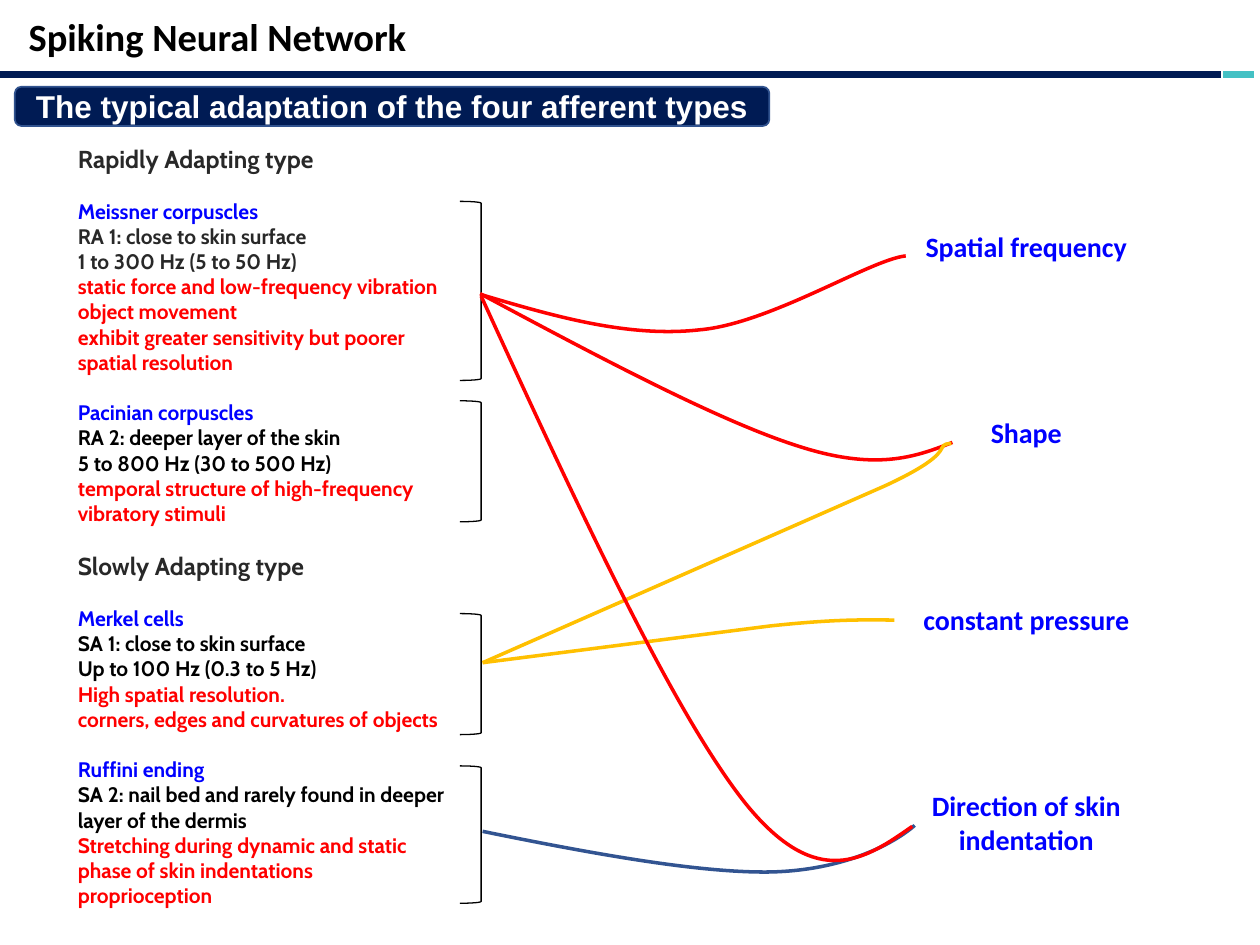
from lxml import etree
from pptx import Presentation
from pptx.dml.color import RGBColor
from pptx.enum.shapes import MSO_CONNECTOR, MSO_SHAPE
from pptx.enum.text import MSO_ANCHOR, MSO_AUTO_SIZE, PP_ALIGN
from pptx.oxml.ns import qn
from pptx.util import Cm, Pt

LEFT, CENTER = PP_ALIGN.LEFT, PP_ALIGN.CENTER
MIDDLE = MSO_ANCHOR.MIDDLE
GROW = MSO_AUTO_SIZE.SHAPE_TO_FIT_TEXT
STRAIGHT = MSO_CONNECTOR.STRAIGHT
ROUNDED, BRACKET = MSO_SHAPE.ROUNDED_RECTANGLE, MSO_SHAPE.RIGHT_BRACKET

NAVY, TEAL, BLACK, GRAY, WHITE = "001B54", "44C1C4", "000000", "282828", "FFFFFF"
BLUE, RED, GOLD, STEEL = "0000FF", "FF0000", "FFC000", "325491"

# Content
TITLE = "Spiking Neural Network"
BANNER = "The typical adaptation of the four afferent types"
LABELS = ["Spatial frequency", "Shape", "constant pressure",
          "Direction of skin indentation"]

# Adaptation type, then its receptors: name, colour of facts, facts, findings
TYPES = [
    ("Rapidly Adapting type", [
        ("Meissner corpuscles", GRAY,
         ["RA 1: close to skin surface", "1 to 300 Hz (5 to 50 Hz)"],
         ["static force and low-frequency vibration", "object movement",
          "exhibit greater sensitivity but poorer spatial resolution"]),
        ("Pacinian corpuscles", BLACK,
         ["RA 2: deeper layer of the skin", "5 to 800 Hz (30 to 500 Hz)"],
         ["temporal structure of high-frequency vibratory stimuli"]),
    ]),
    ("Slowly Adapting type", [
        ("Merkel cells", BLACK,
         ["SA 1: close to skin surface", "Up to 100 Hz (0.3 to 5 Hz)"],
         ["High spatial resolution.", "corners, edges and curvatures of objects"]),
        ("Ruffini ending", BLACK,
         ["SA 2: nail bed and rarely found in deeper layer of the dermis"],
         ["Stretching during dynamic and static phase of skin indentations",
          "proprioception"]),
    ]),
]

# Geometry in centimetres
RULES = [(0, 24.61, NAVY), (24.66, 25.27, TEAL)]
BRACKETS = [(4.06, 3.61), (8.08, 2.44), (12.37, 2.44), (15.44, 2.77)]  # top, height
LABEL_TOP, LABEL_STEP = 4.5, 3.76

# Start point, then two control points and an end point for each cubic segment
CURVES = [
    (RED, [(9.7, 5.94), (11.18, 6.38), (12.67, 6.81), (14.1, 6.65),
           (15.52, 6.53), (17.55, 5.23), (18.26, 5.16)]),
    (RED, [(9.68, 5.92), (12.09, 7.21), (14.48, 8.48), (16.08, 8.99),
           (17.65, 9.5), (18.44, 9.22), (19.2, 8.92)]),
    (STEEL, [(9.73, 16.76), (11.89, 17.2), (14.07, 17.6), (15.52, 17.58),
             (16.97, 17.55), (17.98, 17.04), (18.44, 16.64)]),
    (GOLD, [(9.73, 13.36), (9.73, 13.36), (15.52, 12.62), (15.52, 12.62),
            (16.92, 12.47), (17.48, 12.5), (18.03, 12.5)]),
    (GOLD, [(9.73, 13.36), (9.73, 13.36), (17.83, 9.8), (17.83, 9.8),
            (19.41, 9.07), (18.77, 8.97), (19.18, 8.94)]),
    (RED, [(9.7, 5.97), (11.63, 10.19), (13.59, 14.4), (15.04, 16.21),
           (16.48, 17.98), (17.45, 17.32), (18.39, 16.66)]),
]


def color(value):
    return RGBColor.from_string(value)


def set_line(shape, value, width):
    shape.line.color.rgb = color(value)
    shape.line.width = Pt(width)


def write(para, text, value, size, name, align=LEFT, before=0):
    para.alignment = align
    para.space_before = Pt(before)
    span = para.add_run()
    span.text = text
    span.font.color.rgb = color(value)
    for key, setting in {"size": Pt(size), "name": name, "bold": True}.items():
        setattr(span.font, key, setting)


def add_box(left, top, width, height):
    frame = page.shapes.add_textbox(Cm(left), Cm(top), Cm(width), Cm(height)).text_frame
    frame.word_wrap = True
    frame.auto_size = GROW
    return frame


def add_shape(kind, left, top, width, height):
    shape = page.shapes.add_shape(kind, Cm(left), Cm(top), Cm(width), Cm(height))
    shape.shadow.inherit = False
    return shape


def add_curve(points, value):
    start, *rest = [(Cm(x), Cm(y)) for x, y in points]
    builder = page.shapes.build_freeform(*start)
    builder.add_line_segments(rest, close=False)
    shape = builder.convert_to_shape()
    shape.shadow.inherit = False
    shape.fill.background()
    set_line(shape, value, 2)
    # Turn every three straight steps into one cubic segment
    outline = next(shape.element.iter(qn("a:path")))
    steps = outline.findall(qn("a:lnTo"))
    for first in range(0, len(steps), 3):
        cubic = etree.SubElement(outline, qn("a:cubicBezTo"))
        for step in steps[first:first + 3]:
            cubic.append(step[0])
            outline.remove(step)


deck = Presentation()
deck.slide_width, deck.slide_height = Cm(25.4), Cm(19.05)
page = deck.slides.add_slide(deck.slide_layouts[6])

# Header: title, two rules and banner
write(add_box(0.33, 0.13, 13.31, 1.19).paragraphs[0], TITLE, BLACK, 22, "Calibri")
for begin, end, value in RULES:
    rule = page.shapes.add_connector(STRAIGHT, Cm(begin), Cm(1.5), Cm(end), Cm(1.5))
    set_line(rule, value, 4)
    etree.SubElement(rule.element.spPr, qn("a:effectLst"))
banner = add_shape(ROUNDED, 0.3, 1.75, 15.21, 0.79)
banner.fill.solid()
banner.fill.fore_color.rgb = color(NAVY)
set_line(banner, "31538F", 1)
banner.text_frame.vertical_anchor = MIDDLE
write(banner.text_frame.paragraphs[0], BANNER, WHITE, 18, "Arial", CENTER)

# Receptor descriptions: text, colour, size, space before
GAP = 14.4
lines = []
for heading, receptors in TYPES:
    lines.append((heading, GRAY, 14, GAP if lines else 0))
    for receptor, fact_color, facts, findings in receptors:
        lines.append((receptor, BLUE, 12, GAP))
        lines += [(fact, fact_color, 12, 0) for fact in facts]
        lines += [(finding, RED, 12, 0) for finding in findings]
body = add_box(1.32, 2.77, 8.18, 16.33)
for index, (text, value, size, before) in enumerate(lines):
    para = body.add_paragraph() if index else body.paragraphs[0]
    write(para, text, value, size, "Cabin", before=before)

# Perceived features
for index, label in enumerate(LABELS):
    height = 1.63 if label == LABELS[-1] else 0.94
    box = add_box(18.29, LABEL_TOP + index * LABEL_STEP, 4.8, height)
    write(box.paragraphs[0], label, BLUE, 16, "Calibri", CENTER)

# Brackets and the curves that link receptors to features
for top, height in BRACKETS:
    bracket = add_shape(BRACKET, 9.27, top, 0.43, height)
    bracket.fill.background()
    set_line(bracket, BLACK, 0.75)
for value, points in CURVES:
    add_curve(points, value)

deck.save("out.pptx")
